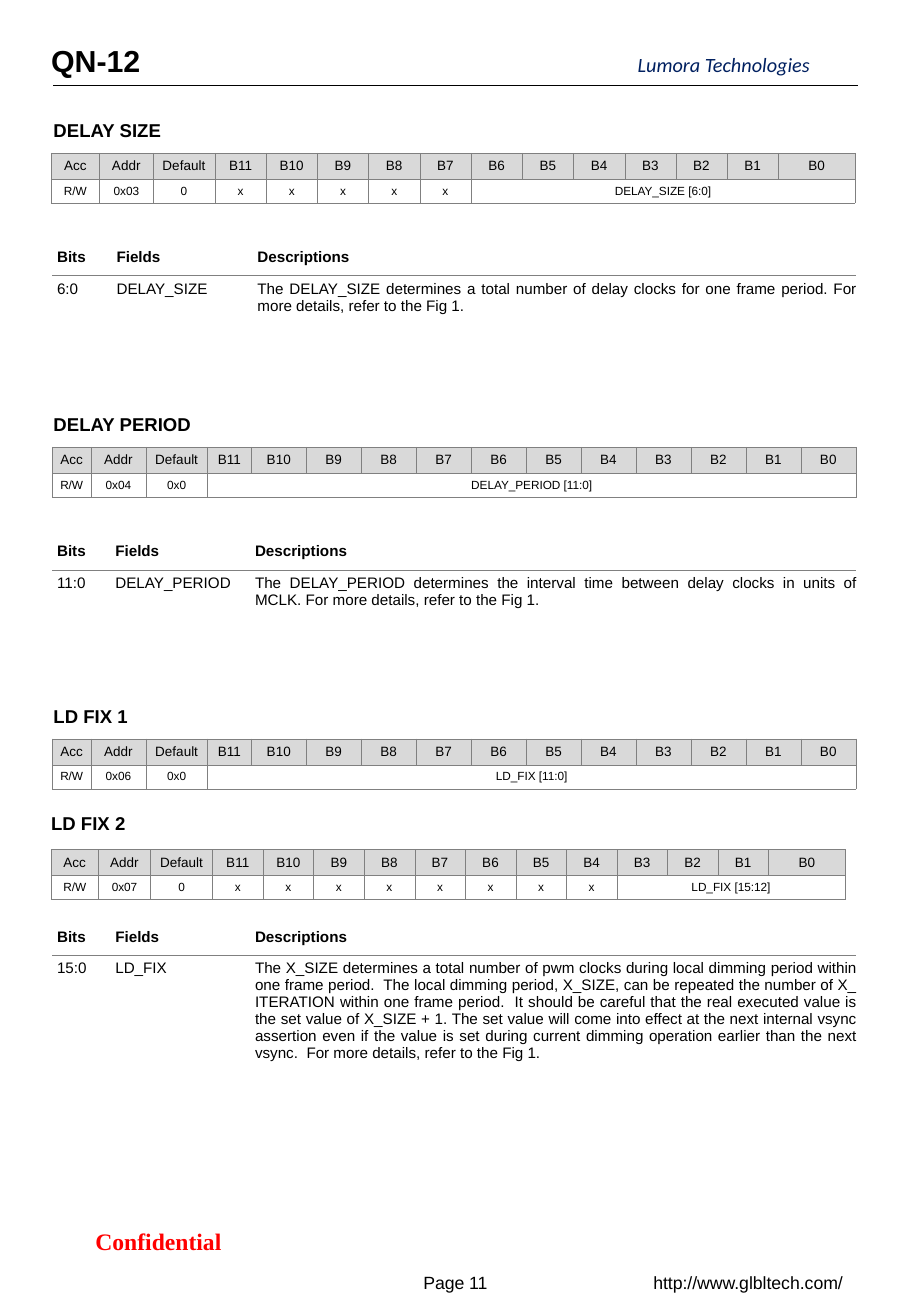
import pptx
import pptx.dml.color
import pptx.enum.shapes
import pptx.enum.text
import pptx.oxml
import pptx.oxml.ns
import pptx.util
from pptx.util import Inches

ALIGN = pptx.enum.text.PP_ALIGN
ANCHOR = pptx.enum.text.MSO_ANCHOR
BLACK, GREY, HEADER_FILL = "000000", "808080", "D9D9D9"
PLAIN_STYLE = "{2D5ABB26-0587-4C30-8999-92F81FD0307C}"
REGISTER_HEADS = ["Acc", "Addr", "Default"] + [f"B{bit}" for bit in range(11, -1, -1)]
WIDE_LEADS = (0.32, 0.45, 0.51, 0.36)

REGISTERS = [
    dict(box=(0.42, 0.93, 6.62), heading="DELAY SIZE", heading_left=0.44, gap=0.33,
         leads=(0.4, 0.44, 0.51), tail=(0.63,),
         values=["R/W", "0x03", "0"] + ["x"] * 5 + ["DELAY_SIZE [6:0]"]),
    dict(box=(0.43, 3.35, 6.62), heading="DELAY PERIOD", heading_left=0.44, gap=0.33,
         leads=WIDE_LEADS, tail=(), values=["R/W", "0x04", "0x0", "DELAY_PERIOD [11:0]"]),
    dict(box=(0.43, 5.75, 6.62), heading="LD FIX 1", heading_left=0.44, gap=0.33,
         leads=WIDE_LEADS, tail=(), values=["R/W", "0x06", "0x0", "LD_FIX [11:0]"]),
    dict(box=(0.42, 6.63, 6.54), heading="LD FIX 2", heading_left=0.42, gap=0.36,
         leads=(0.39, 0.43, 0.51), tail=(0.63,),
         values=["R/W", "0x07", "0"] + ["x"] * 8 + ["LD_FIX [15:12]"]),
]

DETAILS = [
    ((0.43, 1.97, 6.62, 0.73), (0.49, 1.16), "6:0", "DELAY_SIZE",
     "The DELAY_SIZE determines a total number of delay clocks for one frame period. "
     "For more details, refer to the Fig 1."),
    ((0.43, 4.39, 6.62, 0.72), (0.48, 1.15), "11:0", "DELAY_PERIOD",
     "The DELAY_PERIOD determines the interval time between delay clocks in units of MCLK. "
     "For more details, refer to the Fig 1."),
    ((0.43, 7.56, 6.62, 1.27), (0.48, 1.15), "15:0", "LD_FIX",
     "The X_SIZE determines a total number of pwm clocks during local dimming period within "
     "one frame period.  The local dimming period, X_SIZE, can be repeated the number of X_ "
     "ITERATION within one frame period.  It should be careful that the real executed value is "
     "the set value of X_SIZE + 1. The set value will come into effect at the next internal vsync "
     "assertion even if the value is set during current dimming operation earlier than the next "
     "vsync.  For more details, refer to the Fig 1."),
]


def rgb(code):
    """Turn a hex string into a colour."""
    return pptx.dml.color.RGBColor.from_string(code)


def write(frame, text, size, align=ALIGN.LEFT, font="Arial", color=BLACK, bold=False, italic=False):
    """Add one formatted run to the first paragraph of a text frame."""
    paragraph = frame.paragraphs[0]
    paragraph.alignment = align
    run = paragraph.add_run()
    run.text = text
    run.font.size, run.font.name = pptx.util.Pt(size), font
    run.font.bold, run.font.italic = bold, italic
    run.font.color.rgb = rgb(color)


def set_margins(area, left, top, right, bottom):
    """Set the inner margins of a cell or a text frame."""
    area.margin_left, area.margin_top = Inches(left), Inches(top)
    area.margin_right, area.margin_bottom = Inches(right), Inches(bottom)


def add_label(slide, box, text, size, margins=(0.1, 0.05, 0.1, 0.05), anchor=ANCHOR.TOP, wrap=True, **style):
    """Place a single-line text box in the given box."""
    frame = slide.shapes.add_textbox(*map(Inches, box)).text_frame
    frame.word_wrap = wrap
    frame.vertical_anchor = anchor
    set_margins(frame, *margins)
    write(frame, text, size, **style)


def add_plain_table(slide, box, widths, heights):
    """Add a table without banding and size its columns and rows."""
    holder = slide.shapes.add_table(len(heights), len(widths), *map(Inches, box))
    table = holder.table
    table.first_row = table.horz_banding = False
    for style in holder.element.iter(pptx.oxml.ns.qn("a:tableStyleId")):
        style.text = PLAIN_STYLE
    for column, width in zip(table.columns, widths):
        column.width = Inches(width)
    for row, height in zip(table.rows, heights):
        row.height = Inches(height)
    return table


def format_cell(cell, sides, points, margins, anchor, fill=None):
    """Set borders, margins, anchor and fill of a cell."""
    properties = cell._tc.get_or_add_tcPr()
    for side in sides:
        properties.append(pptx.oxml.parse_xml(
            f'<a:ln{side} {pptx.oxml.ns.nsdecls("a")} w="{pptx.util.Pt(points)}">'
            f'<a:solidFill><a:srgbClr val="{GREY}"/></a:solidFill></a:ln{side}>'))
    set_margins(cell, *margins)
    cell.vertical_anchor = anchor
    if fill:
        cell.fill.solid()
        cell.fill.fore_color.rgb = rgb(fill)
    else:
        cell.fill.background()


def add_register(slide, box, heading, heading_left, gap, leads, tail, values):
    """Place a register heading and its bit table, sharing the spare width evenly."""
    left, top, width = box
    add_label(slide, (heading_left, top, 6.62, 0.29), heading, 11, (0, 0.05, 0.1, 0.05), bold=True)
    count = len(REGISTER_HEADS)
    even = count - len(leads) - len(tail)
    share = (width - sum(leads) - sum(tail)) / even
    widths = [*leads, *[share] * even, *tail]
    table = add_plain_table(slide, (left, top + gap, width, 0.41), widths, (0.21, 0.2))
    for row, (texts, size, fill) in enumerate([(REGISTER_HEADS, 8, HEADER_FILL), (values, 7, None)]):
        for column in range(count):
            cell = table.cell(row, column)
            margin = 0 if (row, column) == (0, count - 1) else 0.04
            format_cell(cell, "LRTB", 0.25, [margin] * 4, ANCHOR.MIDDLE, fill)
            if column < len(texts):
                write(cell.text_frame, texts[column], size, ALIGN.CENTER)
    table.cell(1, len(values) - 1).merge(table.cell(1, count - 1))


def add_details(slide, box, leads, bits, field, description):
    """Place the table that describes the bits of a register field."""
    left, top, width, height = box
    widths = [*leads, width - sum(leads)]
    table = add_plain_table(slide, box, widths, (0.3, height - 0.3))
    rows = [(("Bits", "Fields", "Descriptions"), "B", ANCHOR.MIDDLE),
            ((bits, field, description), "T", ANCHOR.TOP)]
    for row, (texts, side, anchor) in enumerate(rows):
        for column, text in enumerate(texts):
            cell = table.cell(row, column)
            format_cell(cell, side, 0.5, (0.04, 0.04, 0, 0.04), anchor)
            align = ALIGN.JUSTIFY if text == description else ALIGN.LEFT
            write(cell.text_frame, text, 9, align, bold=row == 0)


def add_header(slide, box):
    """Place the product title, the company name and the rule below them."""
    left, top, width, height = box
    title = slide.shapes.title
    title.left, title.top, title.width, title.height = map(Inches, box)
    frame = title.text_frame
    frame.auto_size = pptx.enum.text.MSO_AUTO_SIZE.NONE
    frame.vertical_anchor = ANCHOR.TOP
    set_margins(frame, 0, 0.05, 0, 0.05)
    write(frame, "QN-12", 18, bold=True)
    add_label(slide, (left + 4.83, top + 0.13, 1.6, 0.2), "Lumora Technologies", 12, (0, 0, 0, 0),
              wrap=False, font="Calibri", color="002060", italic=True)
    bottom = Inches(top + height)
    rule = slide.shapes.add_connector(pptx.enum.shapes.MSO_CONNECTOR.STRAIGHT,
                                      Inches(left + 0.02), bottom, Inches(left + width), bottom)
    rule.line.color.rgb = rgb(BLACK)
    rule.line.width = pptx.util.Pt(0.5)
    rule.element.spPr.append(pptx.oxml.parse_xml(f'<a:effectLst {pptx.oxml.ns.nsdecls("a")}/>'))


def add_footer(slide, box):
    """Place the confidentiality mark, the page number and the web address."""
    left, top = box
    centred = dict(anchor=ANCHOR.MIDDLE, align=ALIGN.CENTER)
    add_label(slide, (left, top, 1.93, 0.34), "Confidential", 14,
              font="Times New Roman", color="FF0000", bold=True, **centred)
    add_label(slide, (left + 2.94, top + 0.34, 0.94, 0.34), "Page 11", 10.5, **centred)
    add_label(slide, (left + 4.88, top + 0.34, 1.88, 0.34), "http://www.glbltech.com/", 10.5, **centred)


def main():
    """Build the register page and save it."""
    deck = pptx.Presentation()
    deck.slide_width, deck.slide_height = Inches(7.5), Inches(10.83)
    slide = deck.slides.add_slide(deck.slide_layouts[5])
    add_header(slide, (0.42, 0.3, 6.64, 0.4))
    for register in REGISTERS:
        add_register(slide, **register)
    for details in DETAILS:
        add_details(slide, *details)
    add_footer(slide, (0.34, 10.04))
    deck.save("out.pptx")


if __name__ == "__main__":
    main()
